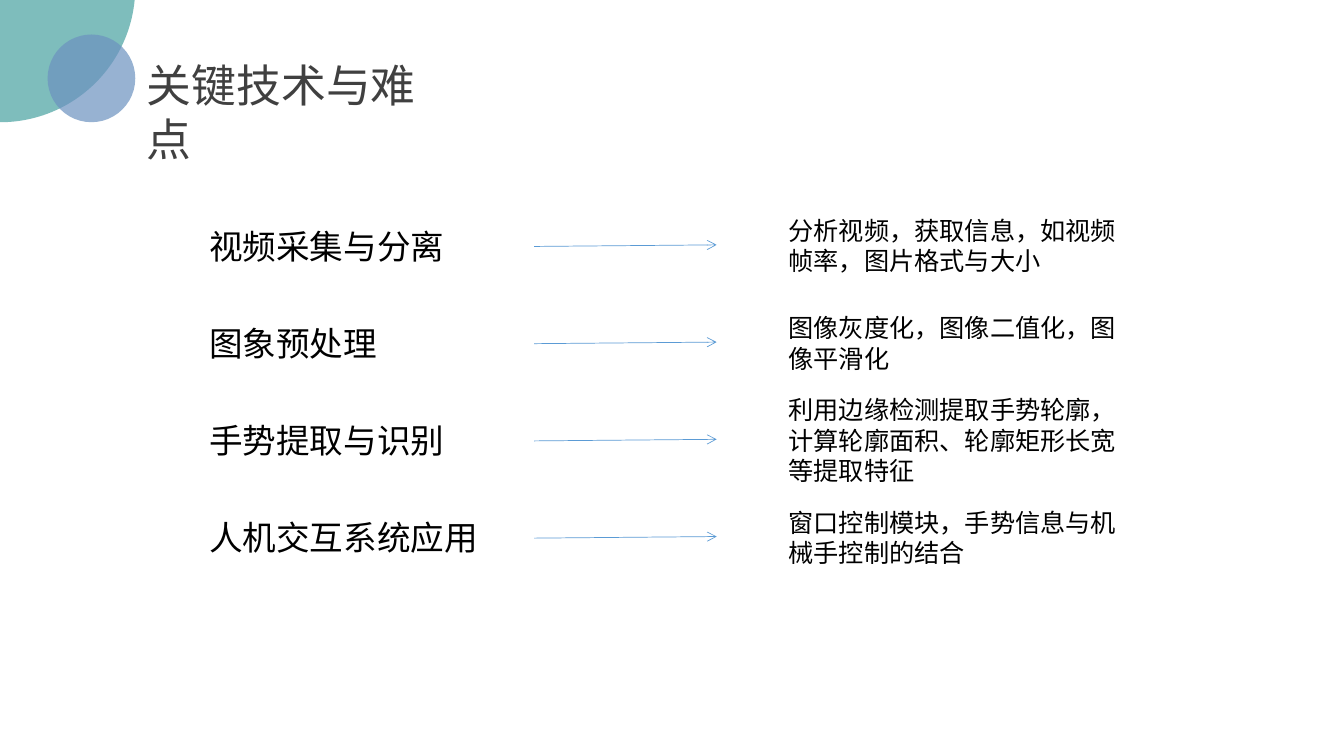
from lxml import etree
from pptx import Presentation
from pptx.dml.color import RGBColor
from pptx.enum.shapes import MSO_CONNECTOR, MSO_SHAPE
from pptx.enum.text import MSO_ANCHOR
from pptx.oxml.ns import qn
from pptx.util import Cm, Pt

OVAL = MSO_SHAPE.OVAL
LINE = MSO_CONNECTOR.STRAIGHT
MIDDLE = MSO_ANCHOR.MIDDLE

TEAL = RGBColor(0x48, 0xA2, 0xA0)
BLUE = RGBColor(0x6C, 0x92, 0xC0)
SKY = RGBColor(0x5B, 0x9B, 0xD5)
GREY = RGBColor(0x40, 0x40, 0x40)
BLACK = RGBColor(0, 0, 0)
FACE = "Noto Sans CJK SC"

TITLE = "关键技术与难点"
STEPS = [
    ("视频采集与分离", 6.96, "分析视频，获取信息，如视频帧率，图片格式与大小", 1.8),
    ("图象预处理", 5.41, "图像灰度化，图像二值化，图像平滑化", 1.8),
    ("手势提取与识别", 6.55, "利用边缘检测提取手势轮廓，计算轮廓面积、轮廓矩形长宽等提取特征", 2.57),
    ("人机交互系统应用", 7.39, "窗口控制模块，手势信息与机械手控制的结合", 1.8),
]
FIRST, PITCH = 6.19, 2.45


def add_disc(slide, left, top, size, color):
    """Add a circle that lets 30% of what lies behind show through."""
    disc = slide.shapes.add_shape(OVAL, Cm(left), Cm(top), Cm(size), Cm(size))
    disc.shadow.inherit = False
    disc.fill.solid()
    disc.fill.fore_color.rgb = color
    disc.line.fill.background()
    tint = disc._element.spPr.find(qn("a:solidFill"))[0]
    etree.SubElement(tint, qn("a:alpha"), val="70000")


def add_text(slide, text, left, mid, width, height, size, color=BLACK):
    """Add a wrapped text box centred on the height mid."""
    box = slide.shapes.add_textbox(
        Cm(left), Cm(mid - height / 2), Cm(width), Cm(height))
    frame = box.text_frame
    frame.word_wrap = True
    frame.vertical_anchor = MIDDLE
    para = frame.paragraphs[0]
    para.text = text
    font = para.font
    font.size = Pt(size)
    font.color.rgb = color
    font.name = FACE
    props = para._p.pPr.find(qn("a:defRPr"))
    etree.SubElement(props, qn("a:ea"), typeface=FACE)


def add_arrow(slide, left, right, mid):
    """Add a thin arrow that rises slightly to the right."""
    arrow = slide.shapes.add_connector(
        LINE, Cm(left), Cm(mid + 0.02), Cm(right), Cm(mid - 0.02))
    arrow.line.color.rgb = SKY
    arrow.line.width = Pt(0.5)
    etree.SubElement(arrow.line._get_or_add_ln(), qn("a:tailEnd"), type="arrow")
    etree.SubElement(arrow._element.spPr, qn("a:effectLst"))


def main():
    """Build the slide and save it."""
    deck = Presentation()
    deck.slide_width, deck.slide_height = Cm(33.87), Cm(19.05)
    slide = deck.slides.add_slide(deck.slide_layouts[6])
    add_disc(slide, -3.4, -3.73, 6.81, TEAL)
    add_disc(slide, 1.2, 0.87, 2.21, BLUE)
    add_text(slide, TITLE, 3.45, 2.81, 8.2, 2.98, 32, GREY)
    for row, (label, width, detail, height) in enumerate(STEPS):
        mid = FIRST + row * PITCH
        add_text(slide, label, 5.02, mid, width, 1.28, 24)
        add_arrow(slide, 13.46, 18.06, mid)
        add_text(slide, detail, 19.62, mid, 9.2, height, 18)
    deck.save("out.pptx")


if __name__ == "__main__":
    main()
